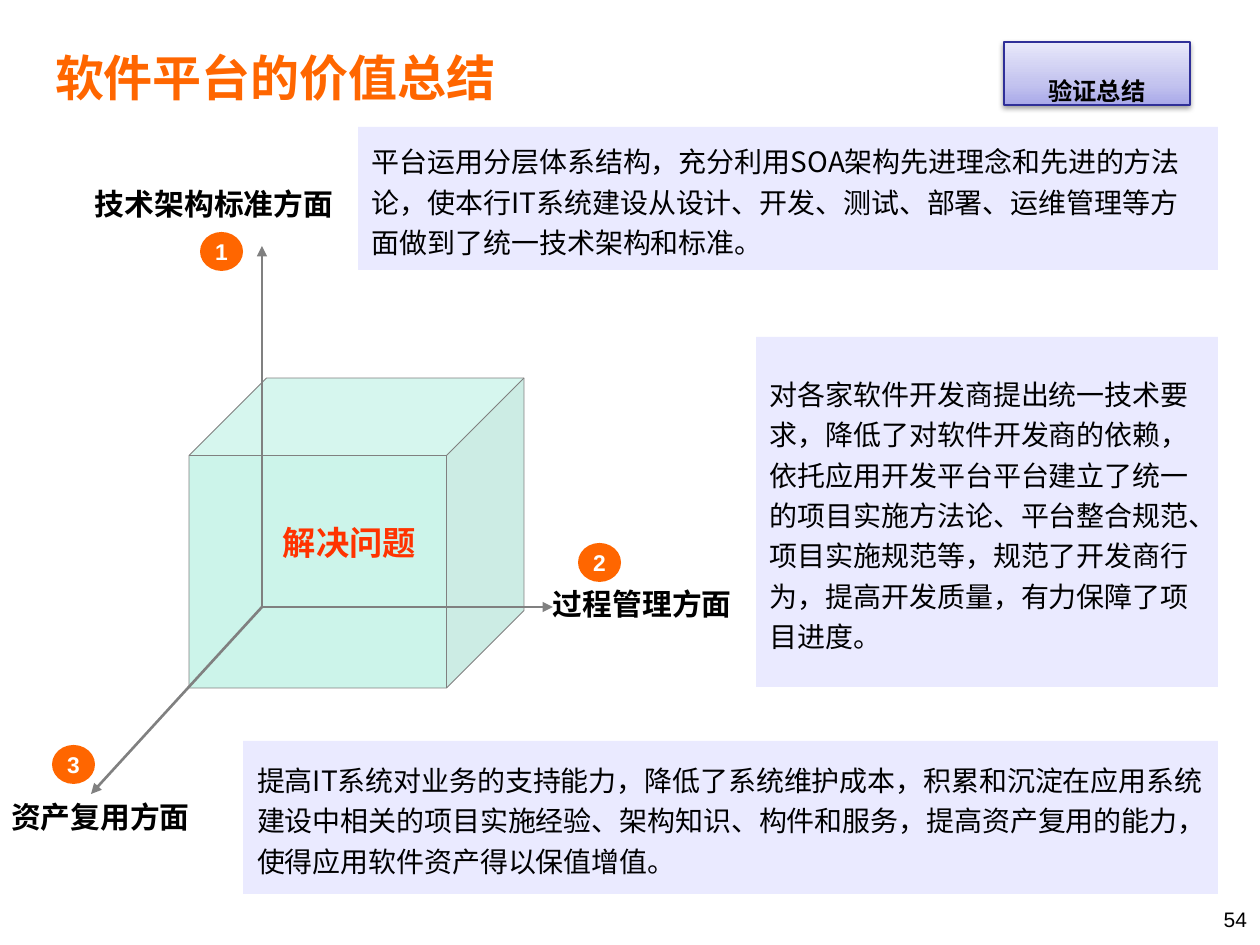
from copy import deepcopy

from lxml import etree
from pptx import Presentation
from pptx.dml.color import RGBColor
from pptx.enum.shapes import MSO_CONNECTOR, MSO_SHAPE
from pptx.enum.text import MSO_ANCHOR, MSO_AUTO_SIZE, PP_ALIGN
from pptx.oxml.ns import qn
from pptx.util import Pt

PX = 914400 / 126
LEFT, CENTER, RIGHT = PP_ALIGN.LEFT, PP_ALIGN.CENTER, PP_ALIGN.RIGHT
TOP, MIDDLE, BOTTOM = MSO_ANCHOR.TOP, MSO_ANCHOR.MIDDLE, MSO_ANCHOR.BOTTOM
RECT, CUBE, OVAL = MSO_SHAPE.RECTANGLE, MSO_SHAPE.CUBE, MSO_SHAPE.OVAL
STRAIGHT = MSO_CONNECTOR.STRAIGHT
SANS, CJK = "Arial", "Noto Sans CJK SC"
ORANGE, GRAY, BLACK = "FF6600", "808080", "000000"

NOTES = [
    ((358, 127, 860, 143),
     "平台运用分层体系结构，充分利用SOA架构先进理念和先进的方法论，"
     "使本行IT系统建设从设计、开发、测试、部署、运维管理等方面做到了统一技术架构和标准。"),
    ((756, 337, 462, 350),
     "对各家软件开发商提出统一技术要求，降低了对软件开发商的依赖，"
     "依托应用开发平台平台建立了统一的项目实施方法论、平台整合规范、"
     "项目实施规范等，规范了开发商行为，提高开发质量，有力保障了项目进度。"),
    ((243, 741, 975, 153),
     "提高IT系统对业务的支持能力，降低了系统维护成本，"
     "积累和沉淀在应用系统建设中相关的项目实施经验、架构知识、构件和服务，"
     "提高资产复用的能力，使得应用软件资产得以保值增值。"),
]
# Offsets from the cube's box: arrow tip, label box, badge corner
AXES = [
    ((73, -132), (-94, -192, 256, 35), (11, -146)),
    ((364, 229), (364, 208, 188, 38), (389, 165)),
    ((-98, 416), (-178, 421, 197, 38), (-137, 367)),
]
NAMES = ["技术架构标准方面", "过程管理方面", "资产复用方面"]


def px(n):
    return round(n * PX)


def rgb(code):
    return RGBColor.from_string(code)


def add_tag(parent, name, **attrs):
    return etree.SubElement(parent, qn(name), attrs)


def set_alpha(node, percent):
    """Set the opacity of the first colour found in node."""
    color = next(node.iter(qn("a:srgbClr")))
    add_tag(color, "a:alpha", val=str(percent * 1000))


def put_text(shape, text, size, color=BLACK, bold=True, face=SANS, align=LEFT,
             anchor=TOP, inset=(0, 0), wrap=True, space=None):
    frame = shape.text_frame
    side, edge = map(px, inset)
    look = dict(word_wrap=wrap, auto_size=MSO_AUTO_SIZE.NONE,
                vertical_anchor=anchor, margin_left=side, margin_right=side,
                margin_top=edge, margin_bottom=edge)
    for key, value in look.items():
        setattr(frame, key, value)
    para = frame.paragraphs[0]
    para.alignment, para.line_spacing = align, space
    run = para.add_run()
    run.text = text
    run.font.color.rgb = rgb(color)
    for key, value in dict(size=Pt(size), bold=bold, name=face).items():
        setattr(run.font, key, value)
    add_tag(run.font._element, "a:ea", typeface=CJK)
    return run


def add_box(slide, kind, box, fill=None, alpha=None, line=None, width=0):
    shape = slide.shapes.add_shape(kind, *map(px, box))
    shape.shadow.inherit = False
    if fill:
        shape.fill.solid()
        shape.fill.fore_color.rgb = rgb(fill)
        if alpha:
            set_alpha(shape._element.spPr, alpha)
    if line:
        shape.line.color.rgb = rgb(line)
        shape.line.width = Pt(width)
    else:
        shape.line.fill.background()
    return shape


def add_label(slide, box, text, size, **look):
    put_text(slide.shapes.add_textbox(*map(px, box)), text, size, **look)


def add_title(slide, box, text):
    title = slide.shapes.title
    title.left, title.top, title.width, title.height = map(px, box)
    put_text(title, text, 28, ORANGE, anchor=MIDDLE, inset=(13, 6))


def add_note(slide, box, text):
    shape = add_box(slide, RECT, box, "CCCCFF", 40)
    put_text(shape, text, 16, bold=False, face=CJK, anchor=MIDDLE,
             inset=(14, 6), space=1.2)


def add_arrow(slide, start, tip):
    line = slide.shapes.add_connector(STRAIGHT, *map(px, start + tip))
    line.line.color.rgb = rgb(GRAY)
    line.line.width = Pt(1.5)
    add_tag(line.line._get_or_add_ln(), "a:tailEnd", type="triangle")
    add_tag(line._element.spPr, "a:effectLst")


def add_cube(slide, box):
    """Draw the cube with its three numbered axes."""
    left, top = box[:2]

    def move(x, y, *size):
        return (left + x, top + y) + size

    add_box(slide, CUBE, box, "00CC99", 20, GRAY, 0.5)
    for tip, _, _ in AXES:
        add_arrow(slide, move(73, 229), move(*tip))
    for number, (name, (_, label, badge)) in enumerate(zip(NAMES, AXES), 1):
        add_label(slide, move(*label), name, 17, wrap=False)
        disc = add_box(slide, OVAL, move(*badge, 43, 39), ORANGE)
        put_text(disc, str(number), 13, "FFFFFF", align=CENTER,
                 anchor=MIDDLE, wrap=False)
    add_label(slide, move(94, 144, 161, 42), "解决问题", 19,
              color="FF3300", wrap=False)


def add_tab(slide, box, text):
    """Draw the shaded section tab."""
    tab = add_box(slide, RECT, box, line="2F2F98", width=0.75)
    tab.fill.gradient()
    tab.fill.gradient_angle = 90
    props = tab._element.spPr
    stops = next(props.iter(qn("a:gsLst")))
    stops.append(deepcopy(stops[0]))
    shades = [(0, "A9A9E9"), (0.35, "C4C4EF"), (1, "E8E8FA")]
    for stop, (place, color) in zip(tab.fill.gradient_stops, shades):
        stop.position = place
        stop.color.rgb = rgb(color)
    shade = add_tag(props.find(qn("a:effectLst")), "a:outerShdw",
                    blurRad=str(Pt(3.1)), dist=str(Pt(1.6)),
                    dir="5400000", rotWithShape="0")
    add_tag(shade, "a:srgbClr", val=BLACK)
    set_alpha(shade, 38)
    run = put_text(tab, text, 24, align=CENTER, inset=(13, 6))
    run.font._element.set("baseline", "-25000")


def main():
    deck = Presentation()
    deck.slide_width, deck.slide_height = px(1260), px(945)
    slide = deck.slides.add_slide(deck.slide_layouts[5])
    add_title(slide, (42, 38, 1134, 77), "软件平台的价值总结")
    add_label(slide, (966, 903, 294, 35), "54", 12, bold=False, align=RIGHT,
              anchor=BOTTOM, inset=(13, 6))
    for box, text in NOTES:
        add_note(slide, box, text)
    add_cube(slide, (189, 378, 335, 310))
    add_tab(slide, (1004, 42, 186, 63), "验证总结")
    deck.save("out.pptx")


if __name__ == "__main__":
    main()
